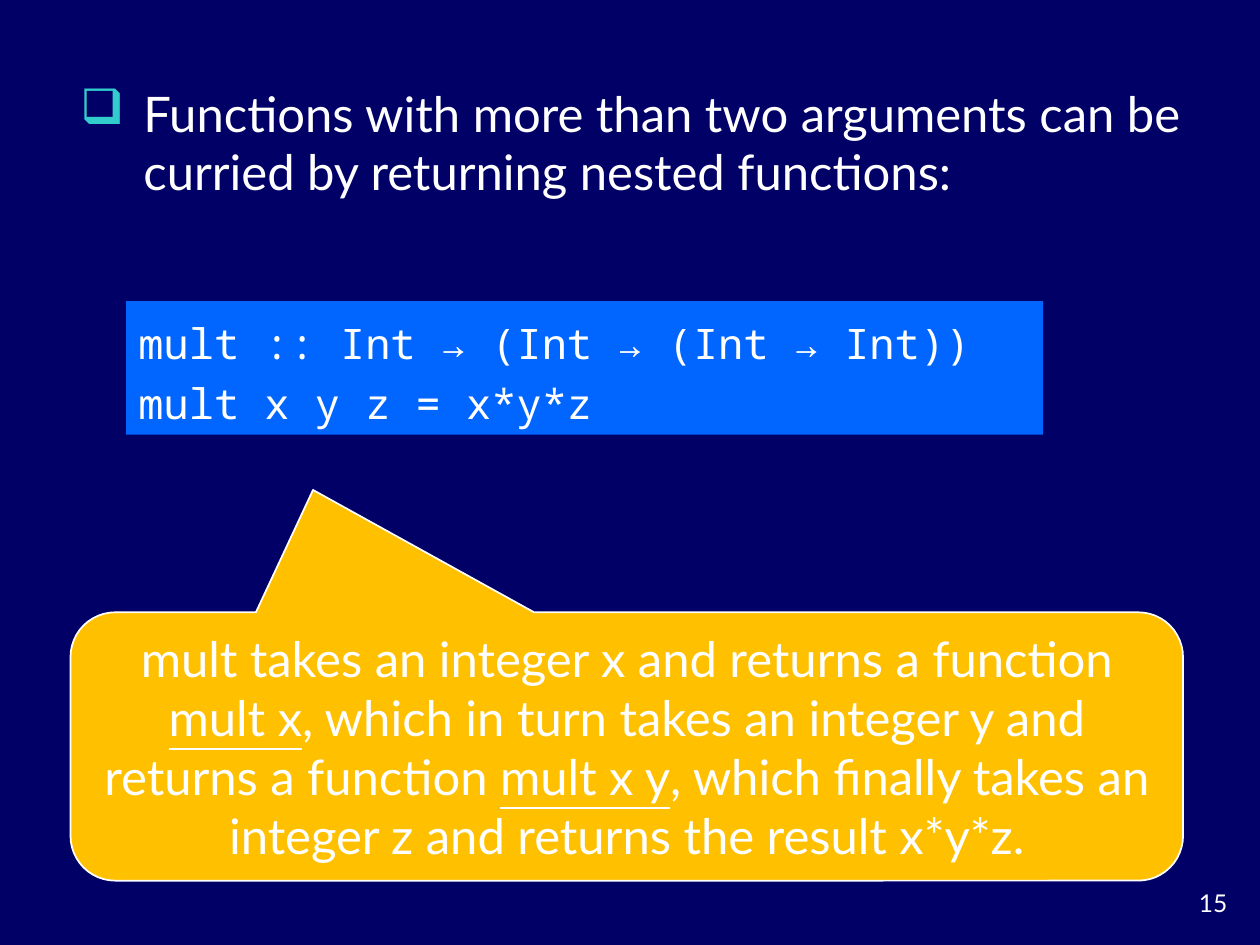
from lxml.etree import SubElement
from pptx import Presentation
from pptx.dml.color import RGBColor
from pptx.enum.shapes import MSO_SHAPE as Shape
from pptx.enum.text import MSO_ANCHOR as Anchor, MSO_AUTO_SIZE as AutoSize, PP_ALIGN as Align
from pptx.oxml.ns import qn
from pptx.util import Pt

WHITE = "FFFFFF"
BODY_FONT = "Lato"
CODE_FONT = "Noto Sans Mono"


def paint(color, value):
    color.rgb = RGBColor.from_string(value)


def fill_solid(fill, value):
    fill.solid()
    paint(fill.fore_color, value)


def style_text(frame, font, size, align=Align.LEFT):
    for para in frame.paragraphs:
        para.alignment = align
        for span in para.runs:
            span.font.name = font
            span.font.size = Pt(size)
            paint(span.font.color, WHITE)


def add_bullet(para, symbol, color, indent):
    properties = para._p.get_or_add_pPr()
    properties.set("marL", str(Pt(indent)))
    properties.set("indent", str(-Pt(indent)))
    bullet_color = SubElement(properties, qn("a:buClr"))
    SubElement(bullet_color, qn("a:srgbClr"), val=color)
    SubElement(properties, qn("a:buChar"), char=symbol)


def add_text(page, box, text, size, align=Align.LEFT):
    frame = page.shapes.add_textbox(*map(Pt, box)).text_frame
    frame.word_wrap = True
    frame.text = text
    style_text(frame, BODY_FONT, size, align)
    return frame


def add_statement(page, box, text):
    para = add_text(page, box, text, 28).paragraphs[0]
    para.space_before = Pt(5.6)
    add_bullet(para, "❑", "33CCCC", 36)


def add_panel(page, kind, box, color):
    panel = page.shapes.add_shape(kind, *map(Pt, box))
    panel.shadow.inherit = False
    fill_solid(panel.fill, color)
    panel.text_frame.vertical_anchor = Anchor.MIDDLE
    panel.text_frame.auto_size = AutoSize.SHAPE_TO_FIT_TEXT
    return panel


def add_code(page, box, lines):
    panel = add_panel(page, Shape.RECTANGLE, box, "0066FF")
    panel.line.fill.background()
    frame = panel.text_frame
    frame.word_wrap = False
    frame.text = "\n".join(lines)
    style_text(frame, CODE_FONT, 24)
    for para in frame.paragraphs:
        para.line_spacing = 1.2


def add_callout(page, box, parts):
    callout = add_panel(page, Shape.ROUNDED_RECTANGULAR_CALLOUT, box, "FFC000")
    for index, value in enumerate((-0.282, -0.956, 0.167)):
        callout.adjustments[index] = value
    paint(callout.line.color, WHITE)
    callout.line.width = Pt(1)
    frame = callout.text_frame
    frame.word_wrap = True
    for text, underlined in parts:
        span = frame.paragraphs[0].add_run()
        span.text = text
        span.font.underline = underlined
    style_text(frame, BODY_FONT, 28, Align.CENTER)


def main():
    deck = Presentation()
    deck.slide_width, deck.slide_height = Pt(720), Pt(540)
    page = deck.slides.add_slide(deck.slide_layouts[6])
    fill_solid(page.background.fill, "000066")
    add_text(page, (660.24, 504, 48.24, 23.76), "15", 14, Align.RIGHT)
    add_statement(
        page,
        (38.88, 43.92, 648.72, 79.2),
        "Functions with more than two arguments can be curried by returning nested functions:",
    )
    add_code(
        page,
        (72, 172.08, 524.16, 76.32),
        ["mult :: Int → (Int → (Int → Int))", "mult x y z = x*y*z"],
    )
    add_callout(
        page,
        (40.32, 349.92, 635.76, 153.36),
        [
            ("mult takes an integer x and returns a function ", False),
            ("mult x", True),
            (", which in turn takes an integer y and returns a function ", False),
            ("mult x y", True),
            (", which finally takes an integer z and returns the result x*y*z.", False),
        ],
    )
    deck.save("out.pptx")


if __name__ == "__main__":
    main()
